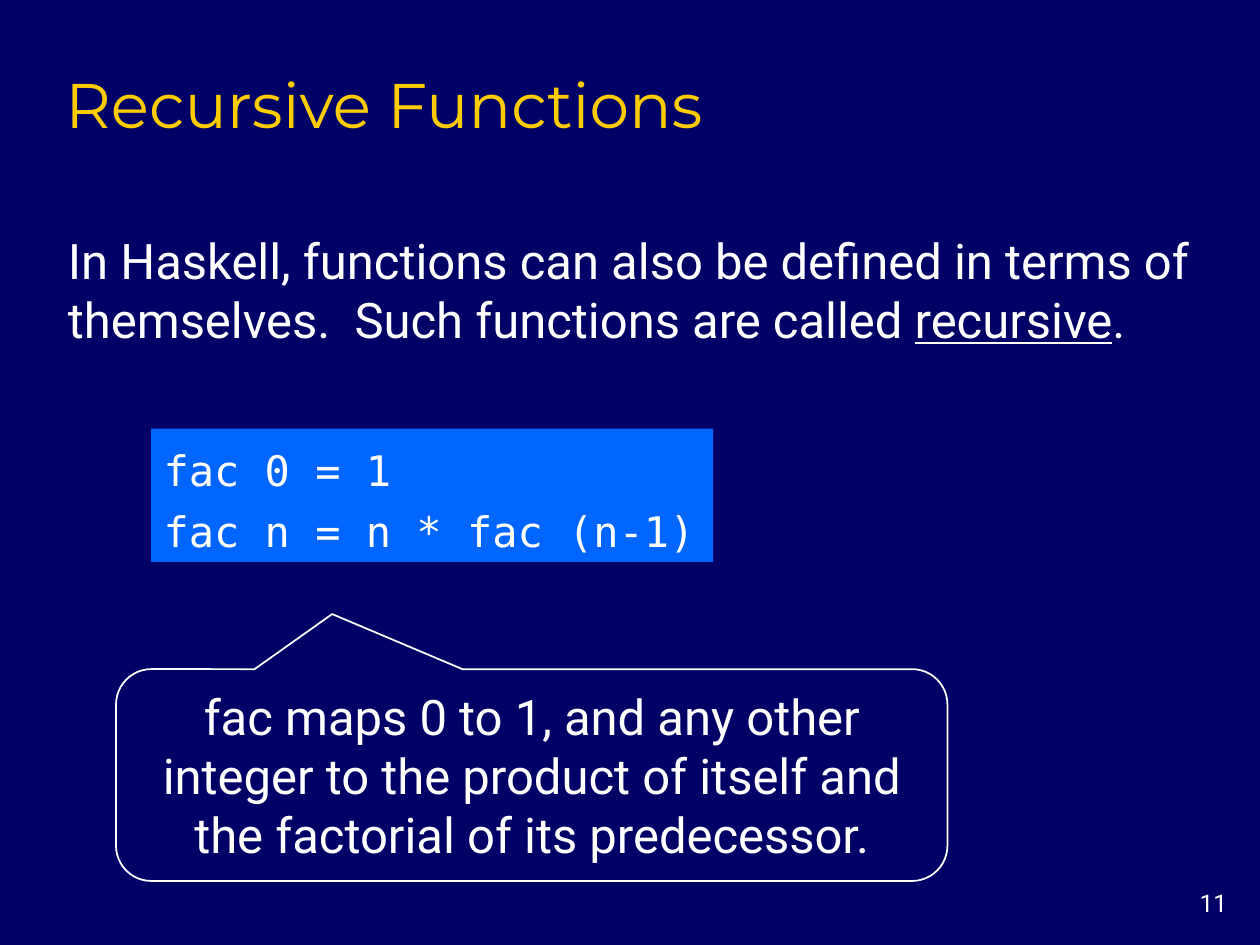
from dataclasses import dataclass

from pptx import Presentation
from pptx.dml.color import RGBColor
from pptx.enum.shapes import MSO_SHAPE
from pptx.enum.text import MSO_ANCHOR, MSO_AUTO_SIZE, PP_ALIGN
from pptx.util import Cm, Pt


@dataclass(frozen=True)
class Theme:
    background: RGBColor = RGBColor(0x00, 0x00, 0x66)
    title: RGBColor = RGBColor(0xFF, 0xCC, 0x00)
    text: RGBColor = RGBColor(0xFF, 0xFF, 0xFF)
    code_fill: RGBColor = RGBColor(0x00, 0x66, 0xFF)
    title_font: str = "Montserrat"
    body_font: str = "Roboto"
    code_font: str = "DejaVu Sans Mono"
    title_size: int = 36
    body_size: int = 28
    code_size: int = 24
    number_size: int = 14


THEME = Theme()
BODY = {"name": THEME.body_font, "size": Pt(THEME.body_size)}
TITLE = {"name": THEME.title_font, "size": Pt(THEME.title_size)}
CODE = {"name": THEME.code_font, "size": Pt(THEME.code_size)}
NUMBER = {"name": THEME.body_font, "size": Pt(THEME.number_size)}


def apply_format(target, values):
    for attribute, value in values.items():
        setattr(target, attribute, value)


def write_text(shape, paragraphs, font, color=THEME.text,
               frame_format=None, paragraph_format=None):
    """Fill a shape; each paragraph is a list of (text, underlined) runs."""
    frame = shape.text_frame
    apply_format(frame, {"word_wrap": True, **(frame_format or {})})
    for index, runs in enumerate(paragraphs):
        paragraph = frame.add_paragraph() if index else frame.paragraphs[0]
        apply_format(paragraph, {"alignment": PP_ALIGN.LEFT, **(paragraph_format or {})})
        for text, underlined in runs:
            run = paragraph.add_run()
            run.text = text
            apply_format(run.font, font)
            run.font.color.rgb = color
            if underlined:
                run.font.underline = True


def add_text(slide, box, paragraphs, font, **options):
    shape = slide.shapes.add_textbox(*map(Cm, box))
    write_text(shape, paragraphs, font, **options)


def add_panel(slide, kind, box, fill=None, line=None):
    shape = slide.shapes.add_shape(kind, *map(Cm, box))
    shape.shadow.inherit = False
    if fill is None:
        shape.fill.background()
    else:
        shape.fill.solid()
        shape.fill.fore_color.rgb = fill
    if line is None:
        shape.line.fill.background()
    else:
        shape.line.color.rgb = line
        shape.line.width = Pt(1)
    return shape


def add_code(slide, box, lines):
    shape = add_panel(slide, MSO_SHAPE.RECTANGLE, box, fill=THEME.code_fill)
    write_text(shape, [[(line, False)] for line in lines], CODE,
               frame_format={"word_wrap": False,
                             "vertical_anchor": MSO_ANCHOR.MIDDLE,
                             "auto_size": MSO_AUTO_SIZE.SHAPE_TO_FIT_TEXT},
               paragraph_format={"line_spacing": 1.2})


def add_callout(slide, box, pointer, text):
    shape = add_panel(slide, MSO_SHAPE.ROUNDED_RECTANGULAR_CALLOUT, box, line=THEME.text)
    shape.adjustments[0], shape.adjustments[1] = pointer
    write_text(shape, [[(text, False)]], BODY,
               frame_format={"vertical_anchor": MSO_ANCHOR.MIDDLE,
                             "auto_size": MSO_AUTO_SIZE.SHAPE_TO_FIT_TEXT},
               paragraph_format={"alignment": PP_ALIGN.CENTER})


def main():
    presentation = Presentation()
    presentation.slide_width, presentation.slide_height = Cm(25.4), Cm(19.05)
    slide = presentation.slides.add_slide(presentation.slide_layouts[6])
    slide.background.fill.solid()
    slide.background.fill.fore_color.rgb = THEME.background

    # Slide number and title
    add_text(slide, (23.29, 17.78, 1.7, 0.84), [[("11", False)]], NUMBER,
             paragraph_format={"alignment": PP_ALIGN.RIGHT})
    add_text(slide, (1.07, 1.07, 21.59, 1.9), [[("Recursive Functions", False)]], TITLE,
             color=THEME.title, frame_format={"vertical_anchor": MSO_ANCHOR.BOTTOM})

    # Definition
    definition = [
        ("In Haskell, functions can also be defined in terms of themselves.  "
         "Such functions are called ", False),
        ("recursive", True),
        (".", False),
    ]
    add_text(slide, (1.12, 4.52, 23.47, 2.62), [definition], BODY,
             frame_format={"vertical_anchor": MSO_ANCHOR.MIDDLE,
                           "auto_size": MSO_AUTO_SIZE.SHAPE_TO_FIT_TEXT})

    # Example and its explanation
    add_code(slide, (3.05, 8.64, 11.33, 2.69), ["fac 0 = 1", "fac n = n * fac (n-1)"])
    add_callout(slide, (2.34, 13.49, 16.76, 4.27), (-0.24, -0.76),
                "fac maps 0 to 1, and any other integer to the product of itself "
                "and the factorial of its predecessor.")

    presentation.save("out.pptx")


if __name__ == "__main__":
    main()
